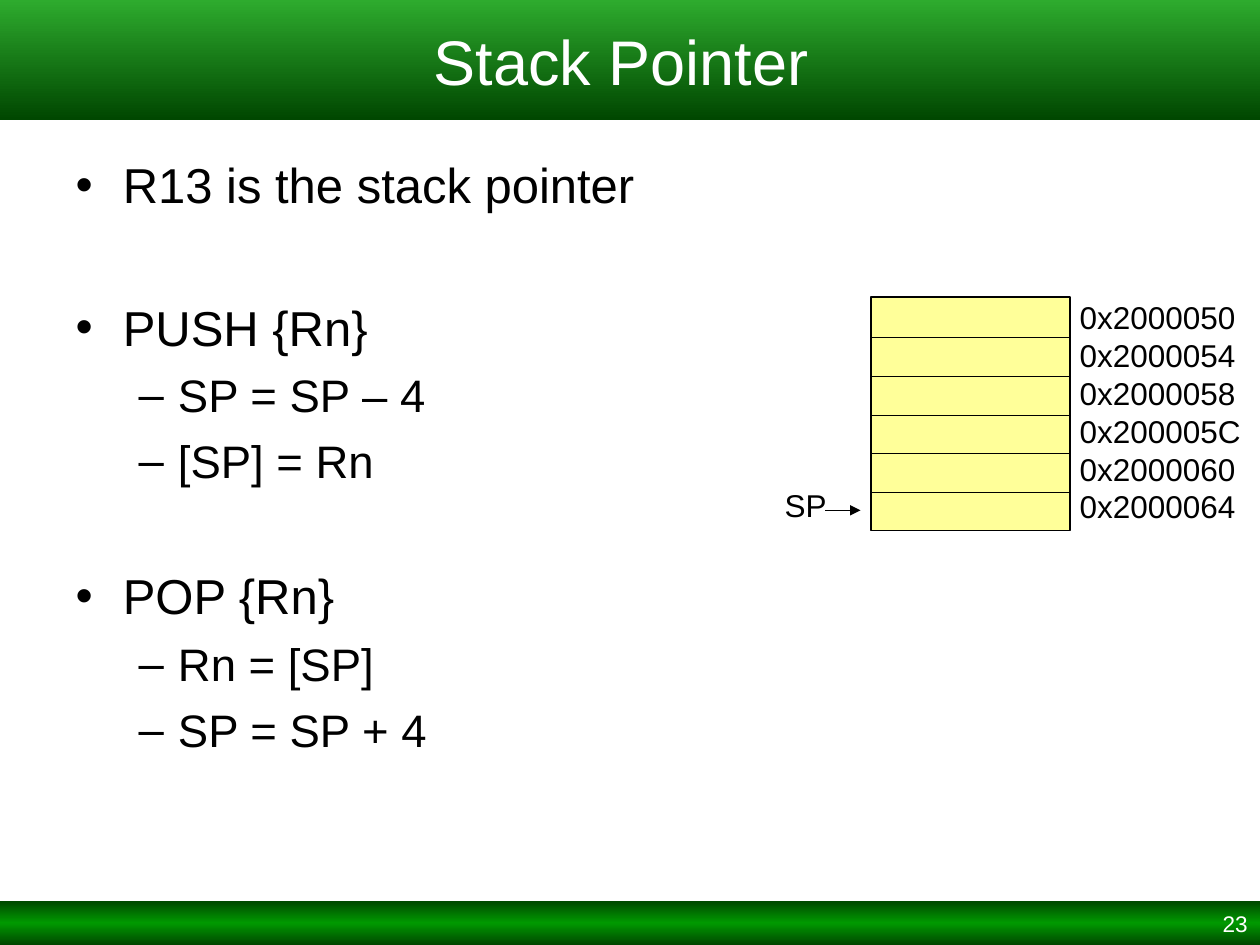
"""Build the Stack Pointer slide."""
from copy import deepcopy
from dataclasses import dataclass

from lxml import etree
from pptx import Presentation
from pptx.dml.color import RGBColor
from pptx.enum.shapes import MSO_CONNECTOR, MSO_SHAPE
from pptx.enum.text import MSO_ANCHOR, MSO_AUTO_SIZE, PP_ALIGN
from pptx.oxml.ns import qn
from pptx.util import Inches, Pt

RECT = MSO_SHAPE.RECTANGLE
STRAIGHT = MSO_CONNECTOR.STRAIGHT
MIDDLE = MSO_ANCHOR.MIDDLE
FIXED = MSO_AUTO_SIZE.NONE
LEFT, CENTER, RIGHT = PP_ALIGN.LEFT, PP_ALIGN.CENTER, PP_ALIGN.RIGHT

BLACK = RGBColor(0x00, 0x00, 0x00)
WHITE = RGBColor(0xFF, 0xFF, 0xFF)
DARK = RGBColor(0x00, 0x47, 0x00)
GREEN = RGBColor(0x00, 0x99, 0x00)
LIGHT = RGBColor(0x2E, 0xAB, 0x2E)
YELLOW = RGBColor(0xFF, 0xFF, 0x99)

FONT = "Arial"
LEADING = 1.2
CELLS_TOP, CELL_STEP = 2.37, 0.308


@dataclass
class Box:
    left: float
    top: float
    width: float
    height: float

    def spans(self) -> tuple:
        return tuple(map(Inches, (self.left, self.top, self.width, self.height)))


@dataclass
class Item:
    text: str
    level: int = 0
    before: float = 0


@dataclass
class Label:
    box: Box
    lines: list[str]
    size: float = 18
    color: RGBColor = BLACK
    align: PP_ALIGN = LEFT


ITEMS = [
    Item("R13 is the stack pointer"),
    Item("PUSH {Rn}", before=47.6),
    Item("SP = SP – 4", 1, 6.5),
    Item("[SP] = Rn", 1, 6.5),
    Item("POP {Rn}", before=44.7),
    Item("Rn = [SP]", 1, 6.5),
    Item("SP = SP + 4", 1, 6.5),
]
CELLS = ["0x2000050", "0x2000054", "0x2000058",
         "0x200005C", "0x2000060", "0x2000064"]
LABELS = [
    Label(Box(7.67, 7.17, 2.33, 0.33), ["23"], 12.9, WHITE, RIGHT),
    Label(Box(8.47, 2.32, 1.53, 1.9), CELLS),
    Label(Box(6.13, 3.81, 0.6, 0.4), ["SP"]),
]


def place(shape, box: Box) -> None:
    shape.left, shape.top, shape.width, shape.height = box.spans()


def style(para, size: float, color: RGBColor, align: PP_ALIGN = LEFT) -> None:
    para.alignment = align
    para.line_spacing = Pt(size * LEADING)
    for run in para.runs:
        run.font.name = FONT
        run.font.size = Pt(size)
        run.font.color.rgb = color


def shade(shape, colors: list[RGBColor]) -> None:
    shape.fill.gradient()
    shape.fill.gradient_angle = 270
    stops = shape._element.spPr.find(f".//{qn('a:gsLst')}")
    for _ in colors[2:]:
        stops.insert(1, deepcopy(stops[0]))
    for i, (stop, color) in enumerate(zip(shape.fill.gradient_stops, colors)):
        stop.position = i / (len(colors) - 1)
        stop.color.rgb = color


def add_rect(slide, box: Box):
    rect = slide.shapes.add_shape(RECT, *box.spans())
    rect.shadow.inherit = False
    return rect


def add_line(slide, left: float, right: float, y: float):
    line = slide.shapes.add_connector(
        STRAIGHT, Inches(left), Inches(y), Inches(right), Inches(y))
    line.line.color.rgb = BLACK
    line.line.width = Pt(0.5)
    etree.SubElement(line._element.spPr, qn("a:effectLst"))
    return line


def add_label(slide, label: Label) -> None:
    frame = slide.shapes.add_textbox(*label.box.spans()).text_frame
    frame.word_wrap = True
    frame.text = "\n".join(label.lines)
    for para in frame.paragraphs:
        style(para, label.size, label.color, label.align)


def fill_title(title) -> None:
    place(title, Box(0, 0, 10, 0.95))
    shade(title, [LIGHT, DARK])
    frame = title.text_frame
    frame.text = "Stack Pointer "
    frame.vertical_anchor = MIDDLE
    frame.auto_size = FIXED
    style(frame.paragraphs[0], 36, WHITE, CENTER)


def fill_body(body) -> None:
    place(body, Box(0.5, 1.18, 9.13, 5.89))
    frame = body.text_frame
    frame.text = "\n".join(item.text for item in ITEMS)
    frame.auto_size = FIXED
    for para, item in zip(frame.paragraphs, ITEMS):
        para.level = item.level
        para.space_before = Pt(item.before)
        style(para, 26 if item.level else 28, BLACK)


def draw_stack(slide) -> None:
    stack = add_rect(slide, Box(6.91, 2.36, 1.58, 1.85))
    stack.fill.solid()
    stack.fill.fore_color.rgb = YELLOW
    stack.line.color.rgb = BLACK
    stack.line.width = Pt(1)
    for i in range(1, len(CELLS)):
        add_line(slide, 6.91, 8.49, CELLS_TOP + i * CELL_STEP)
    arrow = add_line(slide, 6.55, 6.83, 4.05)
    ln = arrow.line._get_or_add_ln()
    etree.SubElement(ln, qn("a:tailEnd"), type="triangle")


def main() -> None:
    deck = Presentation()
    deck.slide_width, deck.slide_height = Inches(10), Inches(7.5)
    slide = deck.slides.add_slide(deck.slide_layouts[1])
    fill_title(slide.shapes.title)
    fill_body(slide.placeholders[1])
    bar = add_rect(slide, Box(0, 7.15, 10, 0.35))
    shade(bar, [DARK, GREEN, DARK])
    bar.line.fill.background()
    draw_stack(slide)
    for label in LABELS:
        add_label(slide, label)
    deck.save("out.pptx")


if __name__ == "__main__":
    main()
